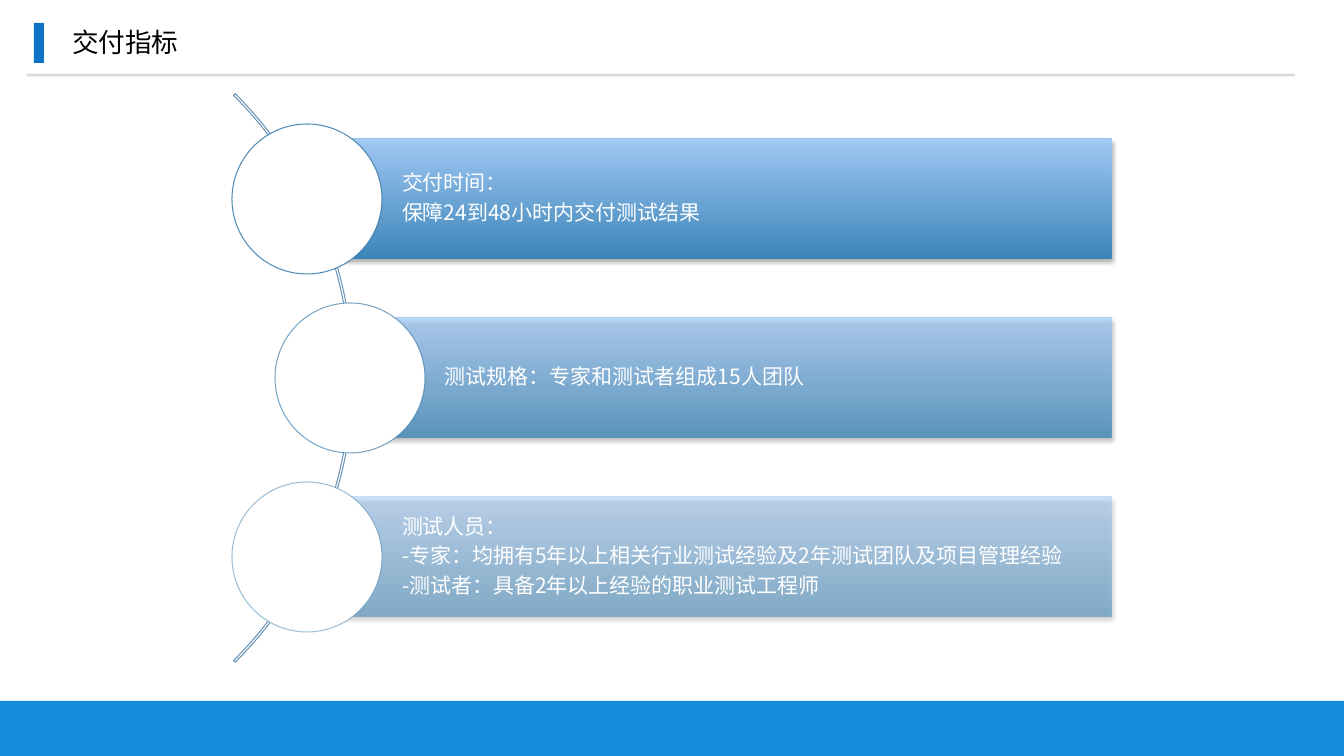
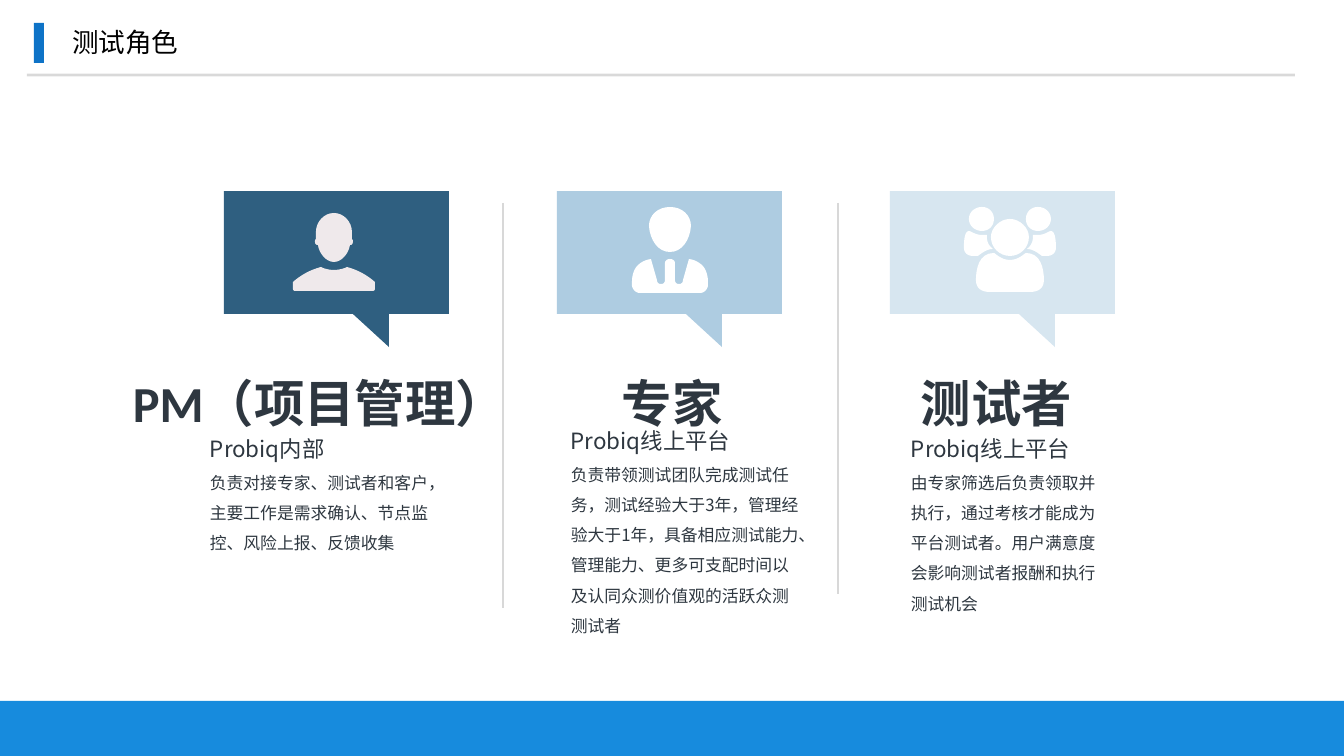
import dataclasses
import typing

import lxml.etree
import pptx
import pptx.dml.color
import pptx.enum.shapes
import pptx.enum.text
import pptx.oxml.ns
import pptx.util

RGB = pptx.dml.color.RGBColor
Pt = pptx.util.Pt
SHAPE = pptx.enum.shapes.MSO_SHAPE
ANCHOR = pptx.enum.text.MSO_ANCHOR
AUTO_SIZE = pptx.enum.text.MSO_AUTO_SIZE
ALIGN = pptx.enum.text.PP_ALIGN
qn = pptx.oxml.ns.qn

# Scale, fonts and colours
EMU_PER_PX = 914400 / 100.8
SLIDE_W, SLIDE_H = 1344, 756
CJK_FONT, LATIN_FONT = "Noto Sans CJK SC", "Calibri"

BLACK = RGB(0x00, 0x00, 0x00)
WHITE = RGB(0xFF, 0xFF, 0xFF)
FOOTER_BLUE = RGB(0x17, 0x8B, 0xDD)
MARK_BLUE = RGB(0x0E, 0x73, 0xC7)
ARC_BLUE = RGB(0x6B, 0x92, 0xB5)
RING_BLUE = RGB(0x3F, 0x7E, 0xAA)
BAR_BOTTOM = RGB(0x2F, 0x81, 0xBA)
BAR_TOP = RGB(0x9F, 0xCA, 0xFA)
INK = RGB(0x2E, 0x37, 0x40)
DIVIDER_GREY = RGB(0xD8, 0xD8, 0xD8)
PM_BLUE = RGB(0x2F, 0x5F, 0x80)
EXPERT_BLUE = RGB(0xAE, 0xCC, 0xE1)
TESTER_BLUE = RGB(0xD7, 0xE6, 0xF0)
PM_ICON = RGB(0xEF, 0xE9, 0xEB)

Point = tuple[float, float]
Segment = tuple[int, ...]  # two values: line end; six values: cubic curve


class Box(typing.NamedTuple):
    left: int
    top: int
    width: int
    height: int


@dataclasses.dataclass(frozen=True)
class TextStyle:
    size: int
    color: RGB
    face: str = CJK_FONT
    bold: bool = False
    spacing: float = 1.0
    after: int = 0


@dataclasses.dataclass(frozen=True)
class Metric:
    circle_left: int
    opacity: int
    lines: tuple[str, ...]


@dataclasses.dataclass(frozen=True)
class HalfOutline:
    """Right half of a symmetric part, x measured from the icon's axis."""
    segments: tuple[Segment, ...]
    pair: bool = False  # two separate mirrored parts instead of one


@dataclasses.dataclass(frozen=True)
class Role:
    name: str
    name_box: Box
    source: str
    duty: str
    duty_box: Box
    bubble_color: RGB
    icon_color: RGB
    icon_axis: int
    icon: tuple[HalfOutline, ...]


TITLE = TextStyle(19, BLACK)
METRIC = TextStyle(15, WHITE, spacing=0.9, after=5)
ROLE_NAME = TextStyle(36, INK, LATIN_FONT, True, 1.5)
ROLE_SOURCE = TextStyle(16, INK, spacing=1.5)
ROLE_DUTY = TextStyle(12, INK, spacing=1.5)

# Shared frame
FOOTER = Box(0, 701, SLIDE_W, 55)
TITLE_MARK = Box(34, 23, 10, 40)
TITLE_BOX = Box(69, 23, 113, 38)
RULE_START, RULE_END = (27, 75), (1295, 75)

# Delivery metrics
CIRCLE, CIRCLE_TOP, METRIC_PITCH = 150, 124, 179
BAR_H, BAR_RIGHT = 120, 1112
ARC = Box(-451, -24, 804, 804)
ARC_START, ARC_END, ARC_THICKNESS = 189, 27, 0.003
METRICS = (
    Metric(232, 90, ("交付时间：", "保障24到48小时内交付测试结果")),
    Metric(275, 70, ("测试规格：专家和测试者组成15人团队",)),
    Metric(232, 50, ("测试人员：",
                     "-专家：均拥有5年以上相关行业测试经验及2年测试团队及项目管理经验",
                     "-测试者：具备2年以上经验的职业测试工程师")),
)

# Test roles
BUBBLE_LEFT, BUBBLE_TOP, BUBBLE_PITCH = 224, 191, 333
BUBBLE = ((0, 0), (225, 0), (225, 123), (165, 123), (165, 156), (129, 123), (0, 123))
DIVIDERS = ((503, 203, 608), (838, 203, 594))  # x, top, bottom

PM_HEAD = HalfOutline((
    (0, 213), (10, 213, 18, 222, 18, 232), (18, 235, 18, 237, 18, 239),
    (18, 239, 19, 240, 19, 241), (19, 244, 18, 245, 16, 245), (15, 253, 8, 262, 0, 262)))
PM_SHOULDERS = HalfOutline((
    (0, 270), (4, 270, 8, 269, 11, 268), (13, 267), (24, 270, 33, 275, 41, 282),
    (41, 289), (41, 290, 40, 291, 39, 291), (0, 291)))
EXPERT_HEAD = HalfOutline((
    (0, 207), (12, 207, 21, 215, 21, 226), (20, 240, 12, 252, 0, 252)))
EXPERT_SUIT = HalfOutline((
    (0, 259), (3, 259, 5, 261, 5, 263), (5, 280), (5, 283, 7, 284, 9, 284),
    (11, 284, 13, 283, 13, 280), (19, 259), (27, 260, 33, 265, 35, 269),
    (37, 273, 38, 277, 38, 282), (38, 286), (37, 290, 34, 293, 30, 293), (0, 293)))
FRONT_HEAD = HalfOutline((
    (0, 219), (10, 219, 19, 228, 19, 237), (19, 248, 10, 256, 0, 256)))
FRONT_BODY = HalfOutline((
    (0, 260), (9, 260, 15, 253, 16, 253), (31, 253, 34, 269, 34, 280),
    (34, 288, 29, 292, 20, 292), (0, 292)))
REAR_HEADS = HalfOutline((
    (28, 207), (35, 207, 41, 212, 41, 219), (41, 226, 35, 231, 28, 231),
    (21, 231, 16, 226, 16, 219), (16, 212, 21, 207, 28, 207)), pair=True)
REAR_BODIES = HalfOutline((
    (37, 256), (32, 256), (28, 253, 23, 249, 17, 249), (21, 246, 23, 242, 23, 237),
    (23, 235), (25, 235, 26, 235, 28, 235), (35, 235, 39, 231, 41, 231),
    (46, 231, 46, 244, 46, 248), (46, 253, 42, 256, 37, 256)), pair=True)

ROLES = (
    Role("PM（项目管理）", Box(123, 337, 409, 102), "Probiq内部",
         "负责对接专家、测试者和客户，主要工作是需求确认、节点监控、风险上报、反馈收集",
         Box(200, 417, 245, 142), PM_BLUE, PM_ICON, 334, (PM_HEAD, PM_SHOULDERS)),
    Role("专家", Box(612, 337, 134, 102), "Probiq线上平台",
         "负责带领测试团队完成测试任务，测试经验大于3年，管理经验大于1年，具备相应测试"
         "能力、管理能力、更多可支配时间以及认同众测价值观的活跃众测测试者",
         Box(561, 409, 250, 234), EXPERT_BLUE, WHITE, 670, (EXPERT_HEAD, EXPERT_SUIT)),
    Role("测试者", Box(911, 337, 184, 102), "Probiq线上平台",
         "由专家筛选后负责领取并执行，通过考核才能成为平台测试者。用户满意度会影响"
         "测试者报酬和执行测试机会",
         Box(901, 417, 219, 204), TESTER_BLUE, WHITE, 1010,
         (FRONT_HEAD, FRONT_BODY, REAR_HEADS, REAR_BODIES)),
)


# Drawing helpers
def px(length: float) -> int:
    return round(length * EMU_PER_PX)


def set_all(target: typing.Any, values: dict[str, typing.Any]) -> None:
    for name, value in values.items():
        setattr(target, name, value)


def margins(left: int, others: int) -> dict[str, int]:
    sides = {"left": left, "top": others, "right": others, "bottom": others}
    return {f"margin_{side}": px(size) for side, size in sides.items()}


def set_opacity(parent: typing.Any, percent: int) -> None:
    """Give every RGB colour below the XML element this opacity."""
    for color in parent.iter(qn("a:srgbClr")):
        lxml.etree.SubElement(color, qn("a:alpha"), val=str(percent * 1000))


def write(frame: typing.Any, lines: list[tuple[str, TextStyle]]) -> None:
    for index, (text, style) in enumerate(lines):
        paragraph = frame.add_paragraph() if index else frame.paragraphs[0]
        set_all(paragraph, {"alignment": ALIGN.LEFT, "line_spacing": style.spacing,
                            "space_before": Pt(0), "space_after": Pt(style.after)})
        run = paragraph.add_run()
        run.text = text
        set_all(run.font, {"size": Pt(style.size), "name": style.face, "bold": style.bold})
        run.font.color.rgb = style.color
        # The East Asian typeface follows the Latin one
        latin = run._r.get_or_add_rPr().find(qn("a:latin"))
        latin.addnext(lxml.etree.Element(qn("a:ea"), typeface=CJK_FONT))


def set_fill(shape: typing.Any, color: RGB) -> None:
    shape.fill.solid()
    shape.fill.fore_color.rgb = color


def set_line(shape: typing.Any, color: RGB, width: float) -> None:
    shape.line.color.rgb = color
    shape.line.width = Pt(width)


def add_block(slide: typing.Any, preset: typing.Any, box: Box) -> typing.Any:
    """Add a preset shape without fill, line or shadow."""
    block = slide.shapes.add_shape(preset, *map(px, box))
    block.shadow.inherit = False
    block.fill.background()
    block.line.fill.background()
    return block


def add_line(slide: typing.Any, start: Point, end: Point, color: RGB,
             width: float) -> typing.Any:
    line = slide.shapes.add_connector(pptx.enum.shapes.MSO_CONNECTOR.STRAIGHT,
                                      *map(px, start + end))
    set_line(line, color, width)
    lxml.etree.SubElement(line.element.spPr, qn("a:effectLst"))
    return line


def add_text(slide: typing.Any, box: Box, lines: list[tuple[str, TextStyle]],
             frame_format: dict[str, typing.Any]) -> None:
    frame = slide.shapes.add_textbox(*map(px, box)).text_frame
    set_all(frame, frame_format)
    write(frame, lines)


def add_outline(slide: typing.Any, contours: list[list[Point]], fill: RGB) -> None:
    scaled = [[(px(x), px(y)) for x, y in contour] for contour in contours]
    builder = slide.shapes.build_freeform(*scaled[0][0])
    for index, (start, *rest) in enumerate(scaled):
        if index:
            builder.move_to(*start)
        builder.add_line_segments(rest, close=True)
    outline = builder.convert_to_shape()
    outline.shadow.inherit = False
    set_fill(outline, fill)
    outline.line.fill.background()


def flatten(segments: tuple[Segment, ...], steps: int = 8) -> list[Point]:
    """Turn lines and cubic curves into the points of a polygon."""
    start, *rest = segments
    points: list[Point] = [(start[0], start[1])]
    for segment in rest:
        if len(segment) == 2:
            points.append((segment[0], segment[1]))
            continue
        controls = (points[-1], segment[0:2], segment[2:4], segment[4:6])
        for step in range(1, steps + 1):
            t = step / steps
            weights = ((1 - t) ** 3, 3 * t * (1 - t) ** 2, 3 * t * t * (1 - t), t ** 3)
            x, y = (sum(weight * control[axis] for weight, control in zip(weights, controls))
                    for axis in (0, 1))
            points.append((x, y))
    return points


def icon_contours(parts: tuple[HalfOutline, ...], axis: int) -> list[list[Point]]:
    contours = []
    for part in parts:
        half = flatten(part.segments)
        right = [(axis + x, y) for x, y in half]
        left = [(axis - x, y) for x, y in reversed(half)]
        contours += [right, left] if part.pair else [right + left]
    return contours


# Slide parts
def move_to_layout(shape: typing.Any, layout: typing.Any) -> None:
    layout.shapes.element.append(shape.element)


def add_titled_slide(deck: typing.Any, layout: typing.Any, title: str) -> typing.Any:
    slide = deck.slides.add_slide(layout)
    set_fill(add_block(slide, SHAPE.RECTANGLE, TITLE_MARK), MARK_BLUE)
    rule = add_line(slide, RULE_START, RULE_END, BLACK, 2)
    set_opacity(rule.element.spPr, 15)
    heading = slide.shapes.title
    set_all(heading, dict(zip(Box._fields, map(px, TITLE_BOX))))
    set_all(heading.text_frame, margins(3, 3) | {
        "word_wrap": False, "vertical_anchor": ANCHOR.MIDDLE,
        "auto_size": AUTO_SIZE.SHAPE_TO_FIT_TEXT})
    write(heading.text_frame, [(title, TITLE)])
    return slide


def add_bar(slide: typing.Any, box: Box, opacity: int) -> None:
    bar = add_block(slide, SHAPE.RECTANGLE, box)
    bar.fill.gradient()
    bar.fill.gradient_angle = 90
    for stop, color in zip(bar.fill.gradient_stops, (BAR_BOTTOM, BAR_TOP)):
        stop.color.rgb = color
    properties = bar.element.spPr
    set_opacity(properties.find(qn("a:gradFill")), opacity)
    shadow = lxml.etree.SubElement(
        properties.find(qn("a:effectLst")), qn("a:outerShdw"), blurRad=str(Pt(3.1)),
        dist=str(Pt(1.8)), dir="5400000", rotWithShape="0")
    lxml.etree.SubElement(shadow, qn("a:srgbClr"), val=str(BLACK))
    set_opacity(shadow, 35)


def add_metric(slide: typing.Any, metric: Metric, circle_top: int) -> None:
    bar_left = metric.circle_left + CIRCLE // 2
    bar_top = circle_top + (CIRCLE - BAR_H) // 2
    bar_box = Box(bar_left, bar_top, BAR_RIGHT - bar_left, BAR_H)
    add_bar(slide, bar_box, metric.opacity)
    add_text(slide, bar_box, [(line, METRIC) for line in metric.lines],
             margins(95, 4) | {"word_wrap": True, "vertical_anchor": ANCHOR.MIDDLE})
    circle = add_block(slide, SHAPE.OVAL,
                       Box(metric.circle_left, circle_top, CIRCLE, CIRCLE))
    set_fill(circle, WHITE)
    set_line(circle, RING_BLUE, 0.75)
    set_opacity(circle.element.spPr.find(qn("a:ln")), metric.opacity)


def add_role(slide: typing.Any, role: Role, left: int) -> None:
    bubble = [(left + x, BUBBLE_TOP + y) for x, y in BUBBLE]
    add_outline(slide, [bubble], role.bubble_color)
    add_outline(slide, icon_contours(role.icon, role.icon_axis), role.icon_color)
    fit = {"auto_size": AUTO_SIZE.SHAPE_TO_FIT_TEXT}
    add_text(slide, role.name_box, [(role.name, ROLE_NAME)], fit | {"word_wrap": False})
    add_text(slide, role.duty_box, [(role.source, ROLE_SOURCE), (role.duty, ROLE_DUTY)],
             fit | {"word_wrap": True})


def main() -> None:
    deck = pptx.Presentation()
    set_all(deck, {"slide_width": px(SLIDE_W), "slide_height": px(SLIDE_H)})
    layout = deck.slide_layouts.get_by_name("Title Only")

    # Delivery metrics
    delivery = add_titled_slide(deck, layout, "交付指标")
    footer = add_block(delivery, SHAPE.RECTANGLE, FOOTER)
    set_fill(footer, FOOTER_BLUE)
    move_to_layout(footer, layout)
    arc = add_block(delivery, SHAPE.BLOCK_ARC, ARC)
    for index, value in enumerate((ARC_START, ARC_END, ARC_THICKNESS)):
        arc.adjustments[index] = value
    set_line(arc, ARC_BLUE, 0.75)
    for index, metric in enumerate(METRICS):
        add_metric(delivery, metric, CIRCLE_TOP + index * METRIC_PITCH)

    # Test roles
    roles = add_titled_slide(deck, layout, "测试角色")
    for index, role in enumerate(ROLES):
        add_role(roles, role, BUBBLE_LEFT + index * BUBBLE_PITCH)
    for x, top, bottom in DIVIDERS:
        add_line(roles, (x, top), (x, bottom), DIVIDER_GREY, 1)

    deck.save("out.pptx")


if __name__ == "__main__":
    main()
